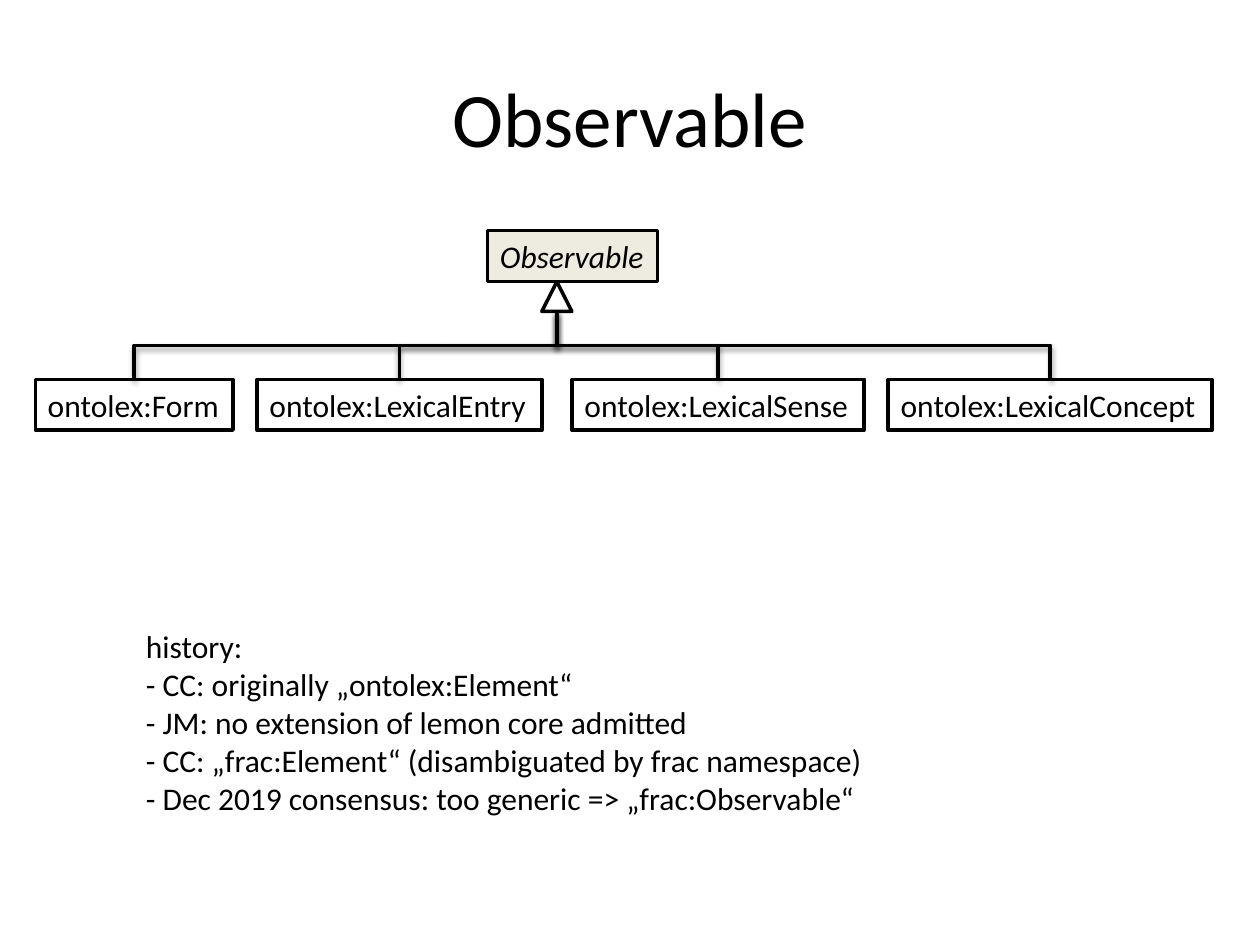
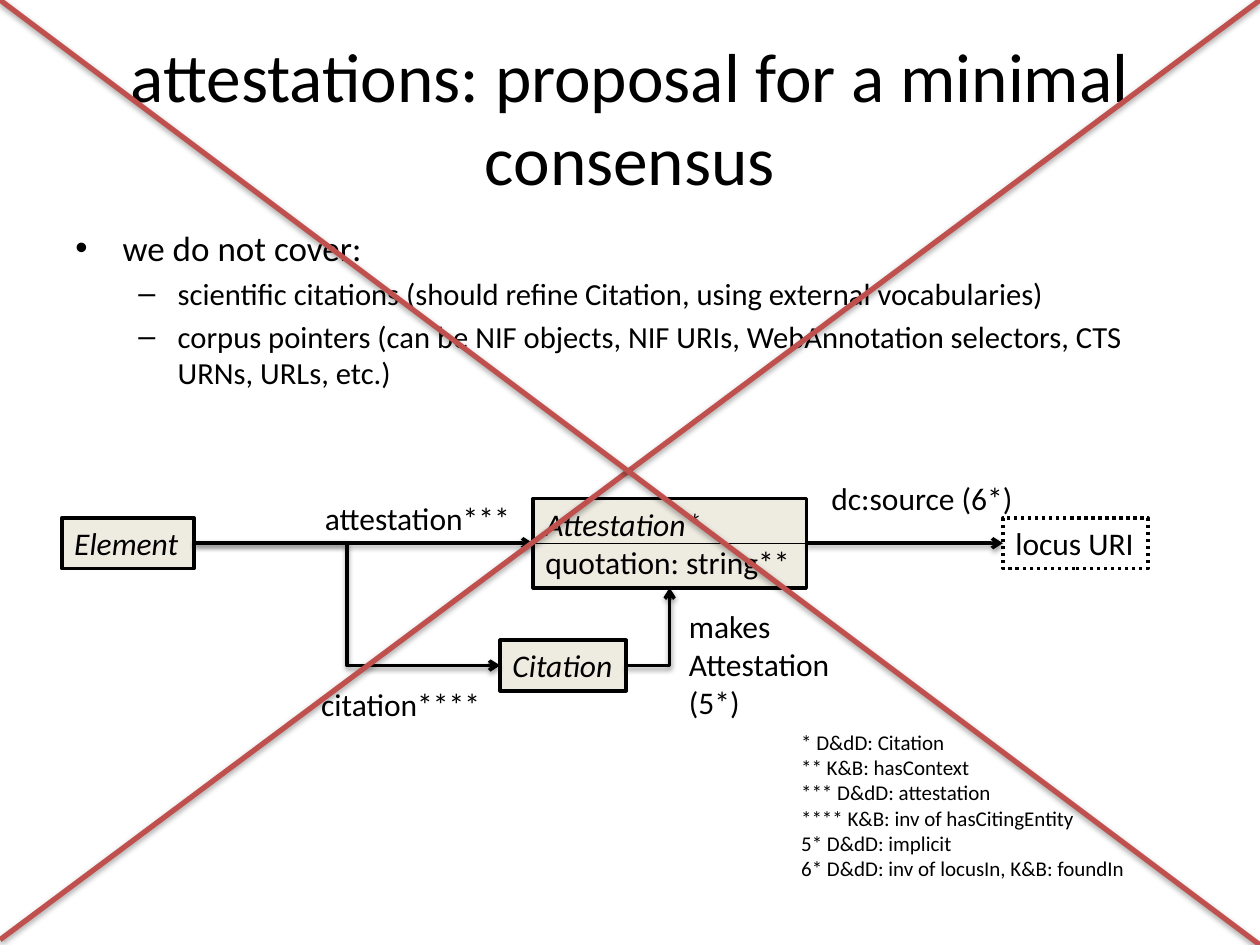
from lxml.etree import SubElement
from pptx import Presentation
from pptx.dml.color import RGBColor
from pptx.enum.dml import MSO_LINE
from pptx.enum.shapes import MSO_CONNECTOR, MSO_SHAPE
from pptx.enum.text import MSO_ANCHOR, MSO_AUTO_SIZE, PP_ALIGN
from pptx.oxml.ns import qn
from pptx.util import Pt

FONT = "Calibri"
BLACK, WHITE, BEIGE, RED = "000000", "FFFFFF", "EEECE1", "C0504D"
BOX_HEIGHT = 29
color = RGBColor.from_string


def add_text(slide, left, top, width, height, text, size=18, fill=None, bordered=False, italic=False):
    """Add a text box, or a rectangle when bordered, that fits its text."""
    bounds = Pt(left), Pt(top), Pt(width), Pt(height)
    if bordered:
        shape = slide.shapes.add_shape(MSO_SHAPE.RECTANGLE, *bounds)
        shape.shadow.inherit = False
        shape.line.color.rgb = color(BLACK)
        shape.line.width = Pt(2)
        if fill:
            shape.fill.solid()
            shape.fill.fore_color.rgb = color(fill)
        else:
            shape.fill.background()
    else:
        shape = slide.shapes.add_textbox(*bounds)
    text_frame = shape.text_frame
    text_frame.text = text
    text_frame.word_wrap = False
    text_frame.auto_size = MSO_AUTO_SIZE.SHAPE_TO_FIT_TEXT
    text_frame.vertical_anchor = MSO_ANCHOR.TOP
    for paragraph in text_frame.paragraphs:
        paragraph.alignment = PP_ALIGN.LEFT
        for run in paragraph.runs:
            run.font.name = FONT
            run.font.size = Pt(size)
            run.font.italic = italic
            run.font.color.rgb = color(BLACK)
    return shape


def add_line(slide, kind, start, end, width=2, line_color=BLACK, arrow=False, shadow=True):
    points = [Pt(value) for value in (*start, *end)]
    connector = slide.shapes.add_connector(kind, *points)
    connector.line.color.rgb = color(line_color)
    connector.line.width = Pt(width)
    properties = connector._element.spPr
    if arrow:
        SubElement(properties.find(qn("a:ln")), qn("a:tailEnd"), type="arrow")
    effects = SubElement(properties, qn("a:effectLst"))
    if shadow:
        outer = SubElement(effects, qn("a:outerShdw"), blurRad=str(Pt(3.1)), dist=str(Pt(1.6)),
                           dir="5400000", rotWithShape="0")
        shade = SubElement(outer, qn("a:srgbClr"), val=BLACK)
        SubElement(shade, qn("a:alpha"), val="38000")
    return connector


presentation = Presentation()
presentation.slide_width = Pt(720)
presentation.slide_height = Pt(540)

# Titles
slides = []
for title, size in [("Observable", 44), ("attestations: proposal for a minimal consensus", 39.6)]:
    slide = presentation.slides.add_slide(presentation.slide_layouts[6])
    text_frame = add_text(slide, 36, 21.6, 648, 90, title, size).text_frame
    text_frame.word_wrap = True
    text_frame.auto_size = MSO_AUTO_SIZE.NONE
    text_frame.vertical_anchor = MSO_ANCHOR.MIDDLE
    text_frame.paragraphs[0].alignment = PP_ALIGN.CENTER
    slides.append(slide)
observable_slide, attestation_slide = slides

# Slide 1: class hierarchy
slide = observable_slide
add_text(slide, 278.6, 131.8, 97.2, BOX_HEIGHT, "Observable", fill=BEIGE, bordered=True, italic=True)

triangle = slide.shapes.add_shape(MSO_SHAPE.ISOSCELES_TRIANGLE, Pt(309.6), Pt(161), Pt(17.2), Pt(17))
triangle.shadow.inherit = False
triangle.fill.solid()
triangle.fill.fore_color.rgb = color(WHITE)
triangle.line.color.rgb = color(BLACK)
triangle.line.width = Pt(2)

parent_x, parent_y, child_y = 318.2, 178, 216.8
middle_y, half_drop = (parent_y + child_y) / 2, (child_y - parent_y) / 2
subclasses = [
    ("ontolex:Form", 20.2, 113),
    ("ontolex:LexicalEntry", 146.9, 162.8),
    ("ontolex:LexicalSense", 326.9, 167),
    ("ontolex:LexicalConcept", 507.6, 185),
]
for name, left, width in subclasses:
    add_text(slide, left, child_y, width, BOX_HEIGHT, name, fill=WHITE, bordered=True)
    child_x = left + width / 2
    middle_x, half_span = (parent_x + child_x) / 2, abs(child_x - parent_x) / 2
    side = 1 if child_x < parent_x else -1
    # A quarter turn makes the elbow leave and arrive vertically
    branch = add_line(slide, MSO_CONNECTOR.ELBOW,
                      (middle_x - side * half_drop, middle_y - half_span),
                      (middle_x + side * half_drop, middle_y + half_span))
    branch._element.spPr.find(qn("a:xfrm")).set("rot", "5400000" if side == 1 else "16200000")

history = [
    "history:",
    "- CC: originally „ontolex:Element“",
    "- JM: no extension of lemon core admitted",
    "- CC: „frac:Element“ (disambiguated by frac namespace)",
    "- Dec 2019 consensus: too generic => „frac:Observable“",
]
add_text(slide, 76.3, 355, 428.4, 116.6, "\n".join(history))

# Slide 2: scope bullets
slide = attestation_slide
scope = [
    (0, "we do not cover:"),
    (1, "scientific citations (should refine Citation, using external vocabularies)"),
    (1, "corpus pointers (can be NIF objects, NIF URIs, WebAnnotation selectors, CTS URNs, URLs, etc.)"),
]
bullet_styles = [("•", 27, 27, 20), ("–", 58.5, 22.5, 17.5)]
text_frame = add_text(slide, 36, 126, 648, 93, "\n".join(text for level, text in scope)).text_frame
text_frame.word_wrap = True
text_frame.auto_size = MSO_AUTO_SIZE.NONE
for index, (paragraph, (level, text)) in enumerate(zip(text_frame.paragraphs, scope)):
    bullet, margin, hanging, size = bullet_styles[level]
    paragraph.level = level
    if index:
        paragraph.space_before = Pt(size * 0.2)
    properties = paragraph._p.get_or_add_pPr()
    properties.set("marL", str(Pt(margin)))
    properties.set("indent", str(-Pt(hanging)))
    SubElement(properties, qn("a:buFont"), typeface="Arial")
    SubElement(properties, qn("a:buChar"), char=bullet)
    paragraph.runs[0].font.size = Pt(size)

# Slide 2: attestation model
axis_y, attestation_height = 310.4, 51
row_top = axis_y - BOX_HEIGHT / 2
element = add_text(slide, 35.3, row_top, 75.6, BOX_HEIGHT, "Element", fill=BEIGE, bordered=True, italic=True)
attestation = add_text(slide, 304.6, axis_y - attestation_height / 2, 156.2, attestation_height,
                       "Attestation*\nquotation: string**", fill=BEIGE, bordered=True, italic=True)
attestation.text_frame.paragraphs[1].runs[0].font.italic = False
citation = add_text(slide, 285.8, 365.8, 72, BOX_HEIGHT, "Citation", fill=BEIGE, bordered=True, italic=True)
locus = add_text(slide, 573.1, row_top, 82.8, BOX_HEIGHT, "locus URI", bordered=True)
locus.line.dash_style = MSO_LINE.ROUND_DOT
add_line(slide, MSO_CONNECTOR.STRAIGHT, (304.6, axis_y), (460.8, axis_y), width=0.75, shadow=False)

TOP, LEFT, BOTTOM, RIGHT = range(4)
relations = [
    (MSO_CONNECTOR.STRAIGHT, element, attestation, LEFT),
    (MSO_CONNECTOR.STRAIGHT, attestation, locus, LEFT),
    (MSO_CONNECTOR.ELBOW, element, citation, LEFT),
    (MSO_CONNECTOR.ELBOW, citation, attestation, BOTTOM),
]
for kind, source, target, side in relations:
    relation = add_line(slide, kind, (0, 0), (0, 0), arrow=True)
    relation.begin_connect(source, RIGHT)
    relation.end_connect(target, side)
    if side == BOTTOM:
        relation._element.spPr.find(qn("a:prstGeom")).set("prst", "bentConnector2")

notes = [
    "* D&dD: Citation",
    "** K&B: hasContext",
    "*** D&dD: attestation",
    "**** K&B: inv of hasCitingEntity",
    "5* D&dD: implicit",
    "6* D&dD: inv of locusIn, K&B: foundIn",
]
labels = [
    (178.6, 281.5, 121.7, BOX_HEIGHT, "attestation***", 18),
    (468, 270, 119.5, BOX_HEIGHT, "dc:source (6*)", 18),
    (176.4, 388.1, 106.6, BOX_HEIGHT, "citation****", 18),
    (386.6, 343.4, 95.8, 72.7, "makes\nAttestation\n(5*)", 18),
    (450.7, 413.3, 200.9, 94.3, "\n".join(notes), 12),
]
for label in labels:
    add_text(slide, *label)

# Slide 2: crossing out
for start, end in [((0, 537), (720, 0)), ((0, 0), (720, 540))]:
    add_line(slide, MSO_CONNECTOR.STRAIGHT, start, end, width=3, line_color=RED)

presentation.save("out.pptx")
